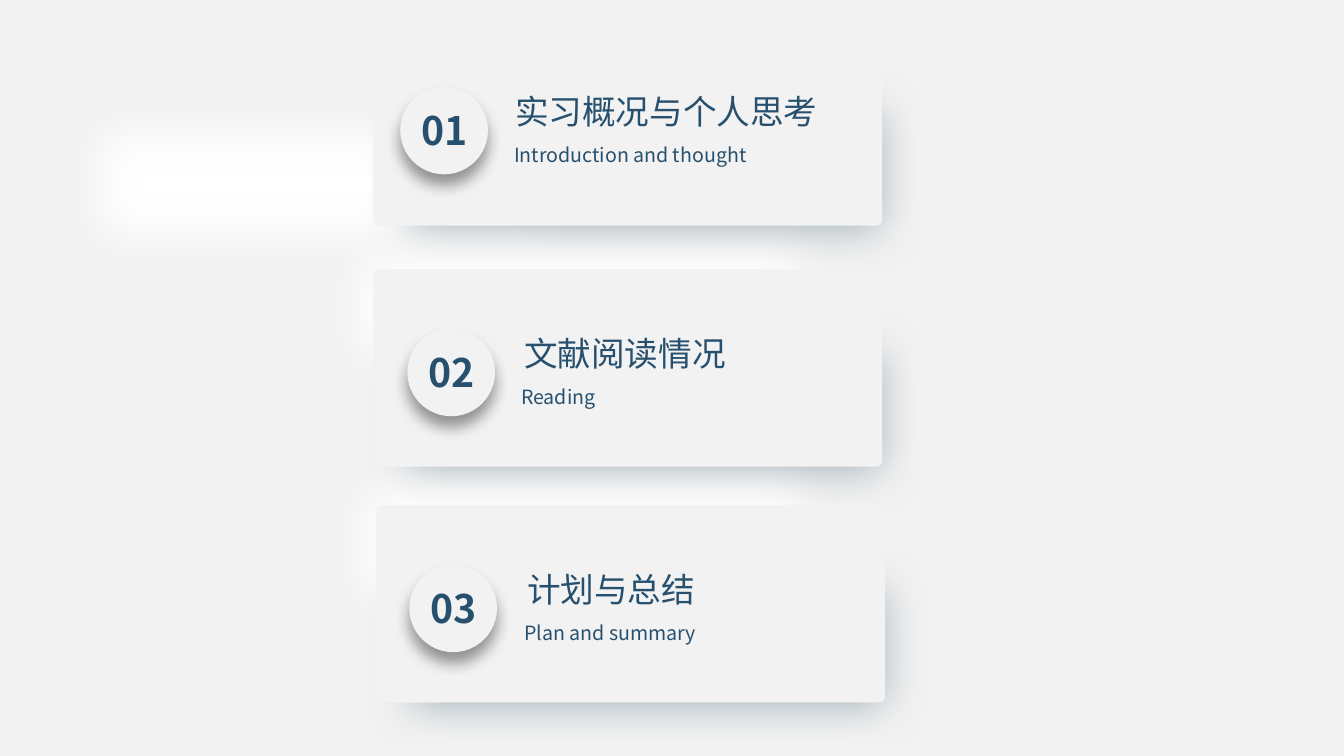
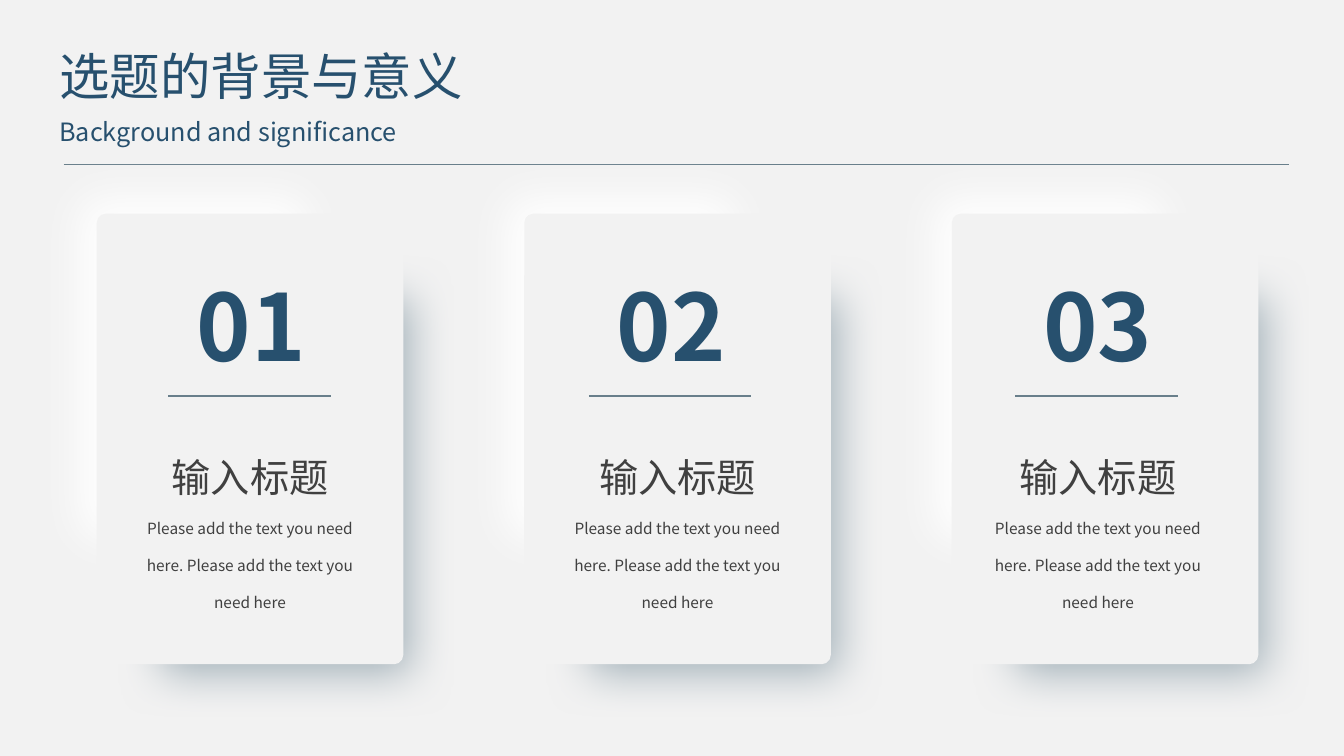
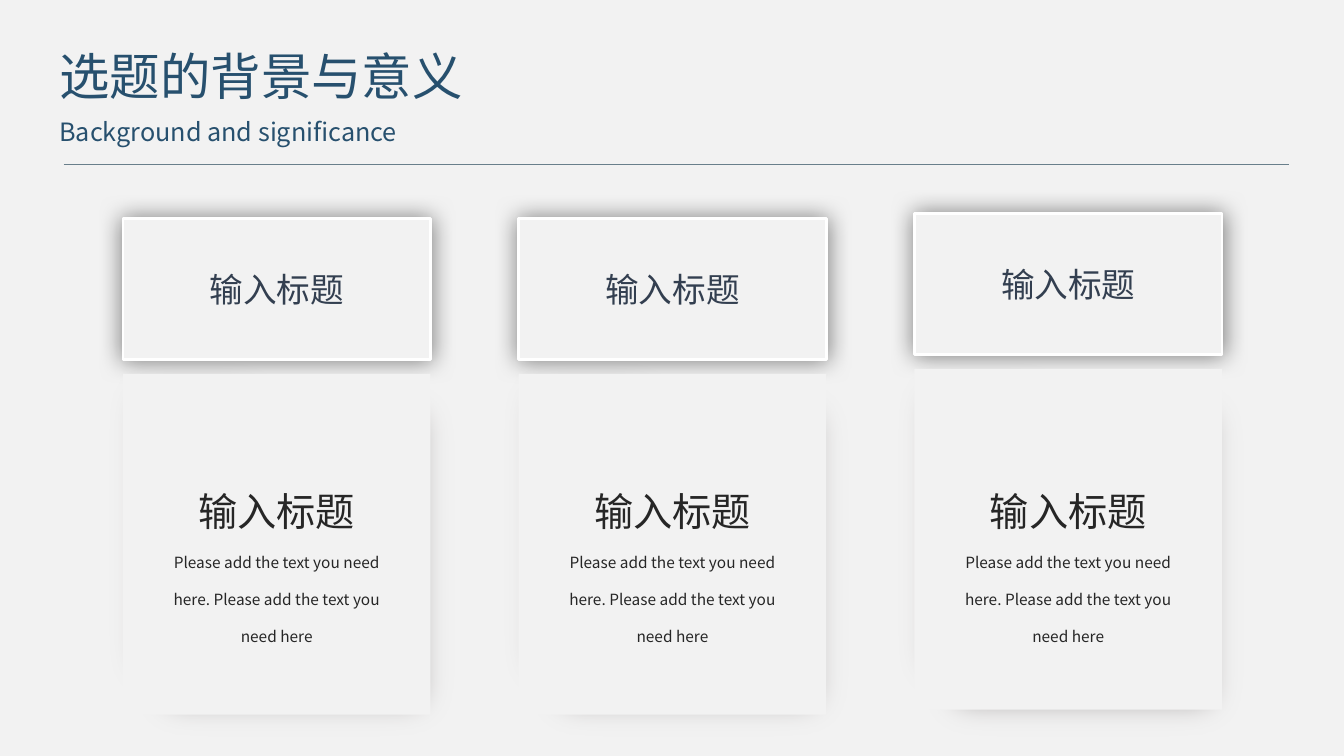
"""Build three soft-shadow slides: agenda, numbered cards and titled panels."""
import pptx
import pptx.dml.color
import pptx.enum.shapes
import pptx.enum.text
import pptx.oxml
import pptx.oxml.ns
import pptx.util

Inches = pptx.util.Inches
Pt = pptx.util.Pt
SHAPE = pptx.enum.shapes.MSO_SHAPE
ALIGN = pptx.enum.text.PP_ALIGN
ANCHOR = pptx.enum.text.MSO_ANCHOR
AUTO_SIZE = pptx.enum.text.MSO_AUTO_SIZE

FONT = "Noto Sans CJK SC"
PAPER, WHITE, NAVY, SLATE = "F2F2F2", "FFFFFF", "27506E", "697F8B"
BLUE_SHADE, GRAY_SHADE = "A4B2BA", "AFABAB"
CARD_BLUR, PANEL_BLUR = 31.75, 25
GROWING = {"word_wrap": True, "auto_size": AUTO_SIZE.SHAPE_TO_FIT_TEXT,
           "vertical_anchor": ANCHOR.TOP}
ONE_LINE = {**GROWING, "word_wrap": False}
CENTERED = {"alignment": ALIGN.CENTER}
DOUBLE_SPACED = {"alignment": ALIGN.CENTER, "line_spacing": 2.0}
CAPTION = "输入标题"
FILLER = "Please add the text you need here. Please add the text you need here"


def rgb(color):
    """Turn a hex string into a colour."""
    return pptx.dml.color.RGBColor.from_string(color)


def apply_format(target, values):
    """Set each named attribute on the target."""
    for name, value in values.items():
        setattr(target, name, value)


def write_paragraph(paragraph, text, size, color, bold=False, layout=None):
    """Write one run with its font and paragraph format."""
    apply_format(paragraph, layout or {})
    run = paragraph.add_run()
    run.text = text
    run.font.color.rgb = rgb(color)
    apply_format(run.font, {"size": Pt(size), "bold": bold, "name": FONT})
    latin = run.font._element.find(pptx.oxml.ns.qn("a:latin"))
    latin.addnext(effect_element(f'<a:ea {{ns}} typeface="{FONT}"/>'))


def effect_element(markup):
    """Parse a drawing element whose namespace is marked by {ns}."""
    return pptx.oxml.parse_xml(markup.format(ns=pptx.oxml.ns.nsdecls("a")))


def add_text(shapes, box, text, size, color=NAVY, bold=False, frame=GROWING, layout=None):
    """Add a text box with one paragraph and return its frame."""
    text_frame = shapes.add_textbox(*map(Inches, box)).text_frame
    apply_format(text_frame, frame)
    write_paragraph(text_frame.paragraphs[0], text, size, color, bold, layout)
    return text_frame


def add_block(shapes, kind, box, fill, corner=None, effect=None):
    """Add a filled shape without outline, with an optional effect."""
    shape = shapes.add_shape(kind, *map(Inches, box))
    shape.shadow.inherit = False
    shape.fill.solid()
    shape.fill.fore_color.rgb = rgb(fill)
    shape.line.fill.background()
    if corner is not None:
        shape.adjustments[0] = corner
    if effect:
        effects = shape.element.spPr.find(pptx.oxml.ns.qn("a:effectLst"))
        effects.append(effect_element(effect))
    return shape


def soft_edge(points):
    """Return the markup of a soft edge."""
    return f'<a:softEdge {{ns}} rad="{Pt(points)}"/>'


def outer_shadow(blur, distance, degrees, opacity):
    """Return the markup of a black outer shadow."""
    return (f'<a:outerShdw {{ns}} blurRad="{Pt(blur)}" dist="{Pt(distance)}" '
            f'dir="{degrees * 60000}" algn="ctr" rotWithShape="0"><a:srgbClr val="000000">'
            f'<a:alpha val="{opacity * 1000}"/></a:srgbClr></a:outerShdw>')


def add_rule(shapes, left, right, top, width):
    """Add a horizontal line."""
    line = shapes.add_connector(pptx.enum.shapes.MSO_CONNECTOR.STRAIGHT,
                                Inches(left), Inches(top), Inches(right), Inches(top))
    line.line.color.rgb = rgb(SLATE)
    line.line.width = Pt(width)
    line.element.spPr.append(effect_element("<a:effectLst {ns}/>"))


def add_soft_card(shapes, glow, shade, card):
    """Add a card between a white glow and a blue-gray shade."""
    rounded = SHAPE.ROUNDED_RECTANGLE
    add_block(shapes, rounded, glow, WHITE, 0.07, soft_edge(CARD_BLUR))
    add_block(shapes, rounded, shade, BLUE_SHADE, 0.03, soft_edge(CARD_BLUR))
    add_block(shapes, rounded, card, PAPER, 0.03)


def add_caption_text(shapes, box, color):
    """Add a centred caption with filler text below it."""
    text_frame = add_text(shapes, box, CAPTION, 28, color, layout=DOUBLE_SPACED)
    write_paragraph(text_frame.add_paragraph(), FILLER, 11, color, layout=DOUBLE_SPACED)


def add_titled_slide(presentation, title, subtitle):
    """Add a slide with title, subtitle and rule."""
    slide = presentation.slides.add_slide(presentation.slide_layouts[5])
    placeholder = slide.shapes.title
    apply_format(placeholder, dict(zip(("left", "top", "width", "height"),
                                       map(Inches, (0.49, 0.4, 5.35, 0.71)))))
    apply_format(placeholder.text_frame, GROWING)
    write_paragraph(placeholder.text_frame.paragraphs[0], title, 36, NAVY,
                    layout={"alignment": ALIGN.LEFT})
    add_text(slide.shapes, (0.49, 1.1, 3.67, 0.4), subtitle, 18, frame=ONE_LINE)
    add_rule(slide.shapes, 0.63, 12.78, 1.63, 0.5)
    return slide


def add_agenda_item(slide, number, card, glow, badge, heading, subheading):
    """Add one agenda card with badge, heading and translation."""
    shapes = slide.shapes.add_group_shape().shapes
    left, top = card
    add_soft_card(shapes, (*glow, 5.23, 1.88), (left - 0.08, top + 0.4, 5.54, 2.02),
                  (left, top, 5.05, 1.96))
    badge_left, badge_top = badge
    add_block(shapes, SHAPE.OVAL, (badge_left, badge_top, 0.87, 0.87), PAPER,
              effect=outer_shadow(11, 8, 90, 40))
    add_text(shapes, (badge_left + 0.11, badge_top + 0.15, 0.68, 0.57), number, 28,
             bold=True, frame=ONE_LINE)
    heading_left, heading_text = heading
    subheading_left, subheading_text = subheading
    add_text(shapes, (heading_left, badge_top - 0.01, 3.35, 0.5), heading_text, 24)
    add_text(shapes, (subheading_left, badge_top + 0.51, 3.6, 0.34), subheading_text, 14)


def build_agenda(presentation):
    """Build the agenda slide."""
    slide = presentation.slides.add_slide(presentation.slide_layouts[6])
    items = [
        ("01", (3.7, 0.28), (0.54, 0.88), (3.97, 0.86),
         (5.01, "实习概况与个人思考"), (5, "Introduction and thought")),
        ("02", (3.7, 2.67), (3.13, 2.1), (4.04, 3.26),
         (5.1, "文献阅读情况"), (5.07, "Reading")),
        ("03", (3.73, 5.01), (3.16, 4.44), (4.06, 5.6),
         (5.13, "计划与总结"), (5.1, "Plan and summary")),
    ]
    for item in items:
        add_agenda_item(slide, *item)


def build_numbered_cards(presentation, title, subtitle):
    """Build the slide with three numbered cards."""
    shapes = add_titled_slide(presentation, title, subtitle).shapes
    columns = [("01", 1.82, 1.24), ("02", 5.99, 5.48), ("03", 10.22, 9.65)]
    for index, (number, number_left, text_left) in enumerate(columns):
        left = 0.96 + 4.24 * index
        add_soft_card(shapes, (left - 0.62, 1.51, 3.15, 4.28),
                      (left + 0.21, 2.52, 3.34, 4.6), (left, 2.12, 3.04, 4.47))
        add_text(shapes, (number_left, 2.62, 1.34, 1.21), number, 66,
                 bold=True, frame=ONE_LINE, layout=CENTERED)
        add_rule(shapes, number_left - 0.15, number_left + 1.46, 3.93, 1)
        add_caption_text(shapes, (text_left, 3.98, 2.48, 2.15), "404040")


def build_titled_panels(presentation, title, subtitle):
    """Build the slide with three panels under framed captions."""
    shapes = add_titled_slide(presentation, title, subtitle).shapes
    for index, top in enumerate((2.17, 2.17, 2.12)):
        left = 1.22 + 3.925 * index
        shade_left = 0.96 + 3.91 * index
        for box in ((shade_left, 3.47, 1.99, 3.62), (shade_left + 0.26, 3.67, 3.4, 3.75)):
            add_block(shapes, SHAPE.RECTANGLE, box, GRAY_SHADE, effect=soft_edge(PANEL_BLUR))
        header = add_block(shapes, SHAPE.RECTANGLE, (left, top, 3.05, 1.4), PAPER,
                           effect=outer_shadow(17, 0, 0, 49))
        header.line.color.rgb = rgb(WHITE)
        header.line.width = Pt(2)
        header.text_frame.vertical_anchor = ANCHOR.MIDDLE
        write_paragraph(header.text_frame.paragraphs[0], CAPTION, 24, "333F50",
                        layout=CENTERED)
        add_block(shapes, SHAPE.RECTANGLE, (left, top + 1.54, 3.05, 3.38), PAPER)
        add_caption_text(shapes, (left + 0.3, 4.32, 2.45, 2.15), "262626")


def main():
    """Build and save the presentation."""
    presentation = pptx.Presentation()
    apply_format(presentation, {"slide_width": Inches(13.33), "slide_height": Inches(7.5)})
    background = presentation.slide_master.background.fill
    background.solid()
    background.fore_color.rgb = rgb(PAPER)
    heading = ("选题的背景与意义", "Background and significance")
    build_agenda(presentation)
    build_numbered_cards(presentation, *heading)
    build_titled_panels(presentation, *heading)
    presentation.save("out.pptx")


if __name__ == "__main__":
    main()
